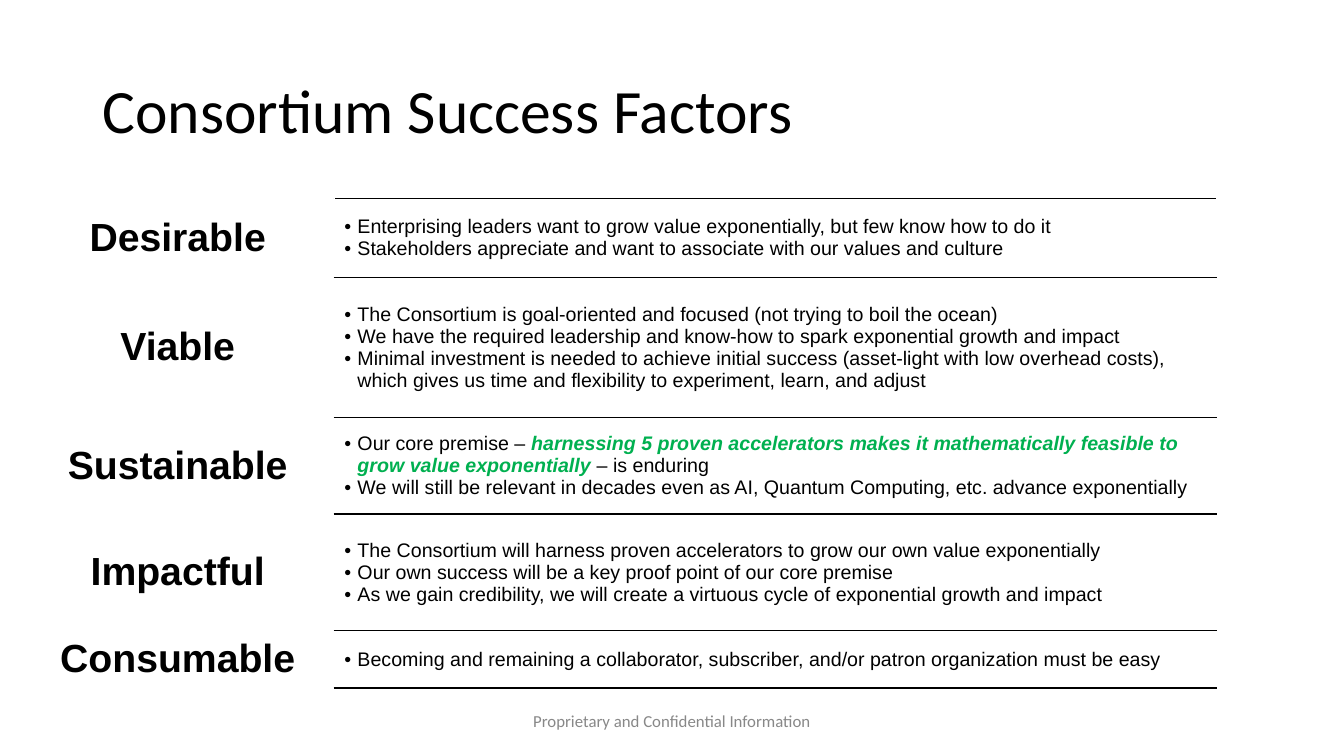
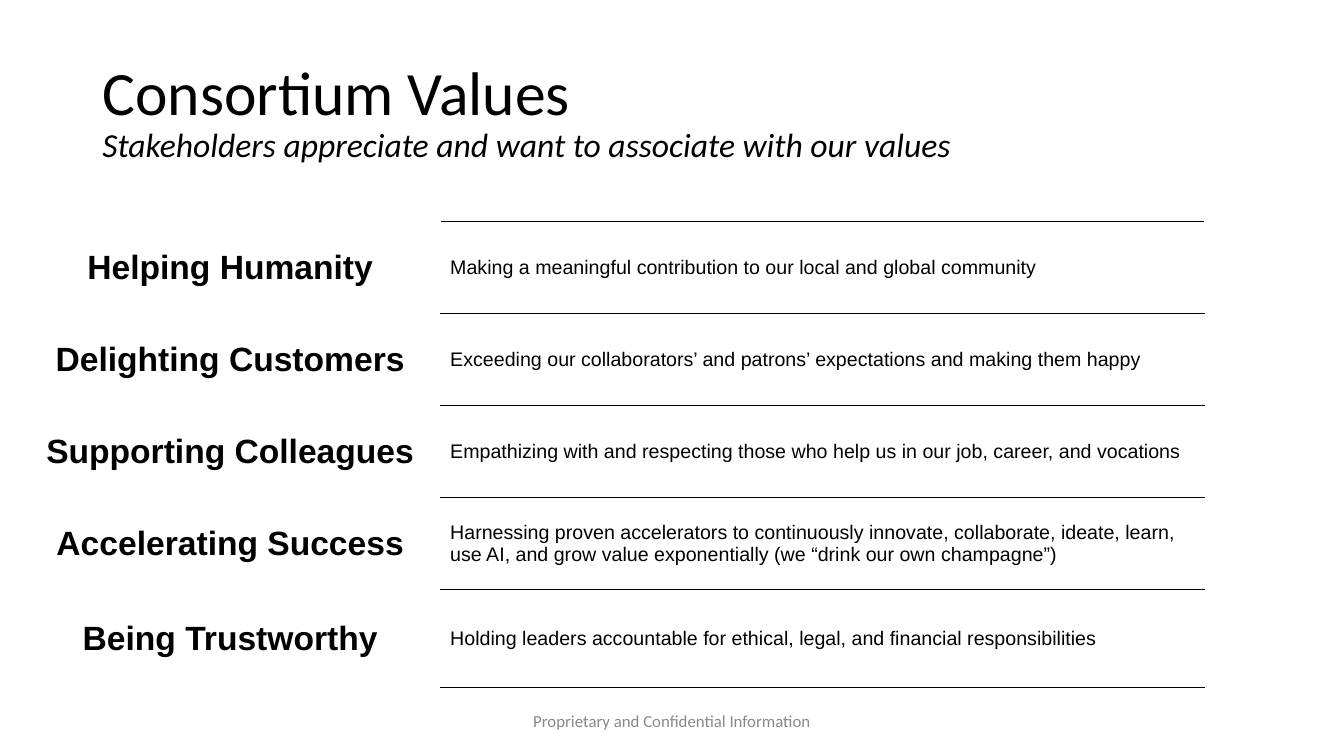
from dataclasses import dataclass

from lxml import etree
from pptx import Presentation
from pptx.dml.color import RGBColor
from pptx.enum.text import MSO_ANCHOR, PP_ALIGN
from pptx.oxml.ns import qn
from pptx.util import Inches, Pt

LEFT, CENTER = PP_ALIGN.LEFT, PP_ALIGN.CENTER
MIDDLE = MSO_ANCHOR.MIDDLE
TITLE_ONLY = 5
COLUMNS, ROWS = 160, 90  # slide grid; one square is 1/12 inch


@dataclass(frozen=True)
class Theme:
    ink: str = "000000"
    accent: str = "00B050"
    muted: str = "888888"
    heading_font: str = "Calibri"
    table_font: str = "Arial"
    title_size: int = 44
    subtitle_size: int = 24
    body_size: int = 14
    footer_size: int = 12
    rule_width: int = 1
    hanging: float = 1.56


THEME = Theme()
FOOTER = "Proprietary and Confidential Information"

# Each row: height, label, and its points; a point is text or (before, emphasis, after)
FACTORS = [
    (9.4, "Desirable", [
        "Enterprising leaders want to grow value exponentially, but few know how to do it",
        "Stakeholders appreciate and want to associate with our values and culture",
    ]),
    (16.7, "Viable", [
        "The Consortium is goal-oriented and focused (not trying to boil the ocean)",
        "We have the required leadership and know-how to spark exponential growth and impact",
        "Minimal investment is needed to achieve initial success (asset-light with low "
        "overhead costs), which gives us time and flexibility to experiment, learn, and adjust",
    ]),
    (11.5, "Sustainable", [
        ("Our core premise – ",
         "harnessing 5 proven accelerators makes it mathematically feasible to "
         "grow value exponentially ",
         "– is enduring"),
        "We will still be relevant in decades even as AI, Quantum Computing, etc. "
        "advance exponentially",
    ]),
    (13.9, "Impactful", [
        "The Consortium will harness proven accelerators to grow our own value exponentially",
        "Our own success will be a key proof point of our core premise",
        "As we gain credibility, we will create a virtuous cycle of exponential growth and impact",
    ]),
    (6.4, "Consumable", [
        "Becoming and remaining a collaborator, subscriber, and/or patron organization "
        "must be easy",
    ]),
]
VALUES = [
    (10.95, "Helping Humanity",
     ["Making a meaningful contribution to our local and global community"]),
    (10.95, "Delighting Customers",
     ["Exceeding our collaborators’ and patrons’ expectations and making them happy"]),
    (10.95, "Supporting Colleagues",
     ["Empathizing with and respecting those who help us in our job, career, and vocations"]),
    (10.95, "Accelerating Success",
     ["Harnessing proven accelerators to continuously innovate, collaborate, ideate, learn, "
      "use AI, and grow value exponentially (we “drink our own champagne”)"]),
    (11.65, "Being Trustworthy",
     ["Holding leaders accountable for ethical, legal, and financial responsibilities"]),
]


def grid(squares):
    return Inches(squares / 12)


def style(font, size, face, color=THEME.ink, bold=False):
    font.size, font.name, font.bold = Pt(size), face, bold
    font.color.rgb = RGBColor.from_string(color)


def add_solid_fill(parent, color):
    fill = etree.SubElement(parent, qn("a:solidFill"))
    etree.SubElement(fill, qn("a:srgbClr"), val=color)


def add_bullet(paragraph):
    props = paragraph._p.get_or_add_pPr()
    props.set("marL", str(grid(THEME.hanging)))
    props.set("indent", str(-grid(THEME.hanging)))
    color = etree.SubElement(props, qn("a:buClr"))
    etree.SubElement(color, qn("a:srgbClr"), val=THEME.ink)
    etree.SubElement(props, qn("a:buFont"), typeface=THEME.table_font)
    etree.SubElement(props, qn("a:buChar"), char="•")


def rule_off(cell):
    """Draw a line above and below the cell."""
    props = cell._tc.get_or_add_tcPr()
    for position, side in enumerate(("a:lnT", "a:lnB")):
        line = etree.Element(qn(side), w=str(Pt(THEME.rule_width)))
        add_solid_fill(line, THEME.ink)
        props.insert(position, line)


def write_label(cell, label, size):
    paragraph = cell.text_frame.paragraphs[0]
    paragraph.text = label
    paragraph.alignment = CENTER
    style(paragraph.font, size, THEME.table_font, bold=True)


def write_points(cell, points, bulleted):
    frame = cell.text_frame
    for index, point in enumerate(points):
        paragraph = frame.add_paragraph() if index else frame.paragraphs[0]
        if bulleted:
            add_bullet(paragraph)
        style(paragraph.font, THEME.body_size, THEME.table_font)
        parts = (point,) if isinstance(point, str) else point
        for part_index, part in enumerate(parts):
            run = paragraph.add_run()
            run.text = part
            if part_index == 1:
                run.font.bold = run.font.italic = True
                run.font.color.rgb = RGBColor.from_string(THEME.accent)


def add_label_table(slide, left, top, widths, rows, label_size, bulleted=False):
    height = sum(row[0] for row in rows)
    table = slide.shapes.add_table(len(rows), len(widths), grid(left), grid(top),
                                   grid(sum(widths)), grid(height)).table
    table.first_row = table.horz_banding = False
    for column, width in zip(table.columns, widths):
        column.width = grid(width)
    for row, (row_height, label, points) in zip(table.rows, rows):
        row.height = grid(row_height)
        label_cell, points_cell = row.cells
        for cell in (label_cell, points_cell):
            cell.fill.background()
            cell.vertical_anchor = MIDDLE
        write_label(label_cell, label, label_size)
        write_points(points_cell, points, bulleted)
        rule_off(points_cell)


def add_title(slide, title, subtitle):
    holder = slide.shapes.title
    holder.left, holder.top = grid(11), grid(4.8)
    holder.width, holder.height = grid(117.5), grid(17.4)
    holder.text_frame.vertical_anchor = MIDDLE
    paragraph = holder.text_frame.paragraphs[0]
    paragraph.alignment = LEFT
    paragraph.line_spacing = 0.9
    style(paragraph.font, THEME.title_size, THEME.heading_font)
    paragraph.add_run().text = title
    if subtitle:
        paragraph.add_line_break()
        tagline = paragraph.add_run()
        tagline.text = subtitle
        tagline.font.size = Pt(THEME.subtitle_size)
        tagline.font.italic = True


def add_footer(slide):
    frame = slide.shapes.add_textbox(grid(53), grid(83.4), grid(54), grid(4.8)).text_frame
    frame.word_wrap = True
    frame.vertical_anchor = MIDDLE
    paragraph = frame.paragraphs[0]
    paragraph.text = FOOTER
    paragraph.alignment = CENTER
    style(paragraph.font, THEME.footer_size, THEME.heading_font, THEME.muted)


def add_slide(deck, title, subtitle=None):
    slide = deck.slides.add_slide(deck.slide_layouts[TITLE_ONLY])
    add_title(slide, title, subtitle)
    add_footer(slide)
    return slide


def main():
    deck = Presentation()
    deck.slide_width, deck.slide_height = grid(COLUMNS), grid(ROWS)

    factors = add_slide(deck, "Consortium Success Factors")
    add_label_table(factors, 2.5, 23.6, (37.3, 105), FACTORS, label_size=28, bulleted=True)

    values = add_slide(deck, "Consortium Values",
                       "Stakeholders appreciate and want to associate with our values")
    add_label_table(values, 2.4, 26.4, (50, 91), VALUES, label_size=24)

    deck.save("out.pptx")


if __name__ == "__main__":
    main()
